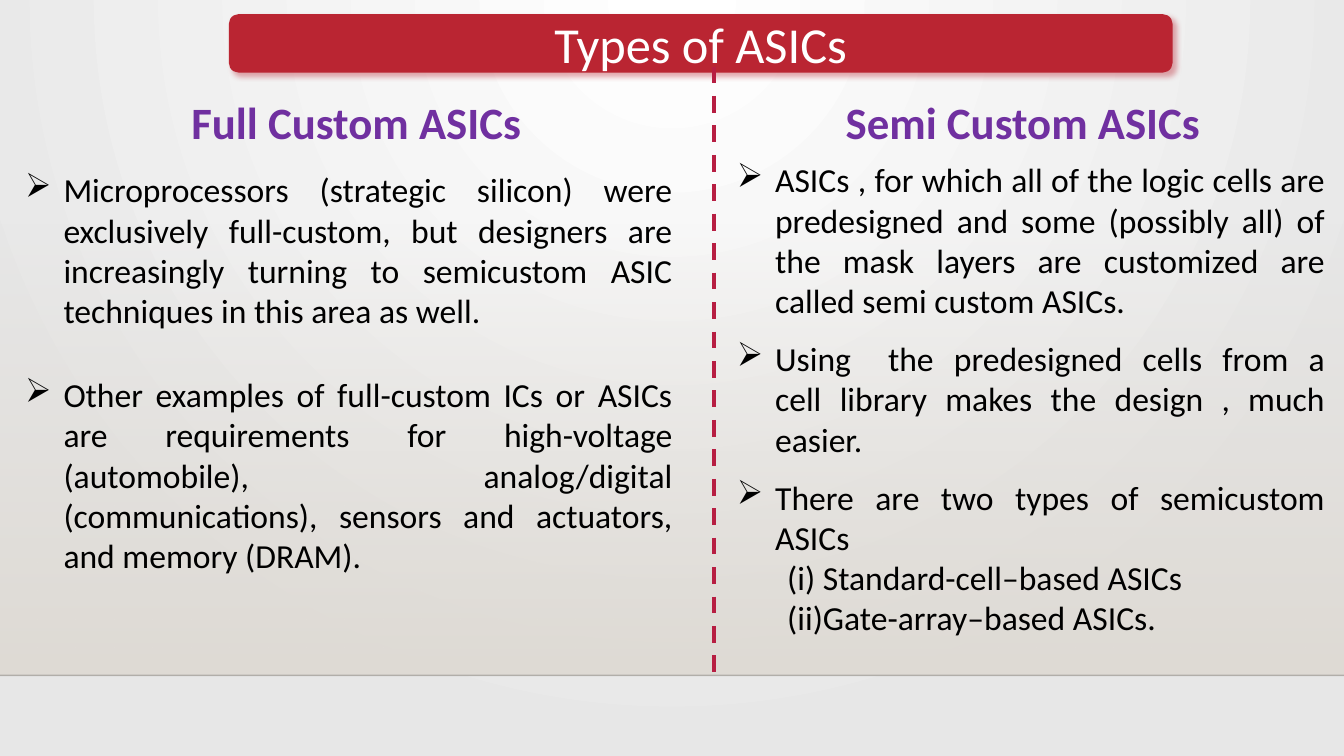
from lxml import etree
from pptx import Presentation
from pptx.dml.color import RGBColor
from pptx.enum.dml import MSO_LINE
from pptx.enum.shapes import MSO_CONNECTOR, MSO_SHAPE
from pptx.enum.text import MSO_ANCHOR, MSO_AUTO_SIZE, PP_ALIGN
from pptx.oxml.ns import qn
from pptx.util import Inches, Pt

RECTANGLE = MSO_SHAPE.RECTANGLE
ROUNDED = MSO_SHAPE.ROUNDED_RECTANGLE
STRAIGHT = MSO_CONNECTOR.STRAIGHT
DASH = MSO_LINE.DASH
MIDDLE = MSO_ANCHOR.MIDDLE
FIT_SHAPE = MSO_AUTO_SIZE.SHAPE_TO_FIT_TEXT
CENTER, JUSTIFY = PP_ALIGN.CENTER, PP_ALIGN.JUSTIFY

FONT = "Calibri"
COLORS = {
    "white": "FFFFFF", "edge": "E7E7E7", "floor": "DFDBD5", "floor_line": "000001",
    "banner": "BA2532", "divider": "B71E42", "heading": "7030A0", "body": "000000",
}

FULL_CUSTOM = [
    "Microprocessors (strategic silicon) were exclusively full-custom, but designers are "
    "increasingly turning to semicustom ASIC techniques in this area as well.",
    "Other examples of full-custom ICs or ASICs are requirements for high-voltage "
    "(automobile), analog/digital (communications), sensors and actuators, and memory (DRAM).",
]
SEMI_CUSTOM = [
    "ASICs , for which all of the logic cells are predesigned and some (possibly all) of "
    "the mask layers are customized are called semi custom ASICs.",
    "Using\tthe predesigned cells from a cell library makes the design , much easier.",
    "There are two types of semicustom ASICs",
]
SEMI_CUSTOM_TYPES = ["(i) Standard-cell–based ASICs", "(ii)Gate-array–based ASICs."]


def color(name):
    return RGBColor.from_string(COLORS[name])


def add_child(parent, tag, **attributes):
    values = {key: str(value) for key, value in attributes.items()}
    return etree.SubElement(parent, qn(tag), values)


def add_color(parent, name, opacity=100):
    node = add_child(parent, "a:srgbClr", val=COLORS[name])
    if opacity < 100:
        add_child(node, "a:alpha", val=opacity * 1000)


def start_gradient(element, stops):
    """Replace the stops of the element's gradient; the caller adds its direction."""
    gradient = element.find(".//" + qn("a:gradFill"))
    gradient.clear()
    gradient.set("rotWithShape", "1")
    stop_list = add_child(gradient, "a:gsLst")
    for position, name, opacity in stops:
        add_color(add_child(stop_list, "a:gs", pos=position * 1000), name, opacity)
    return gradient


def set_background(slide):
    slide.background.fill.gradient()
    gradient = start_gradient(slide.element, [(0, "white", 100), (100, "edge", 100)])
    circle = add_child(gradient, "a:path", path="circle")
    add_child(circle, "a:fillToRect", l=43000, t=0, r=43000, b=100000)


def add_plain_shape(slide, kind, left, top, width, height):
    shape = slide.shapes.add_shape(
        kind, Inches(left), Inches(top), Inches(width), Inches(height))
    shape.shadow.inherit = False
    shape.line.fill.background()
    return shape


def add_floor(slide):
    shape = add_plain_shape(slide, RECTANGLE, 0, 2.21, 13.33, 4.49)
    shape.fill.gradient()
    gradient = start_gradient(shape.element, [(0, "floor", 0), (100, "floor", 100)])
    add_child(gradient, "a:lin", ang=90 * 60000, scaled=0)


def add_line(slide, start, end, color_name, width):
    line = slide.shapes.add_connector(STRAIGHT, *map(Inches, start + end))
    line.line.color.rgb = color(color_name)
    line.line.width = Pt(width)
    add_child(line.element.spPr, "a:effectLst")
    return line


def set_font(paragraph, size, color_name, bold=False):
    paragraph.font.name = FONT
    paragraph.font.size = Pt(size)
    paragraph.font.bold = bold
    paragraph.font.color.rgb = color(color_name)


def add_banner(slide, text):
    shape = add_plain_shape(slide, ROUNDED, 2.27, 0.14, 9.36, 0.58)
    shape.fill.solid()
    shape.fill.fore_color.rgb = color("banner")
    effects = shape.element.spPr.find(qn("a:effectLst"))
    shadow = add_child(effects, "a:outerShdw", blurRad=Pt(4), dist=Pt(3),
                       dir=45 * 60000, algn="tl", rotWithShape=0)
    add_color(shadow, "banner", 40)
    shape.text_frame.vertical_anchor = MIDDLE
    paragraph = shape.text_frame.paragraphs[0]
    paragraph.text = text
    paragraph.alignment = CENTER
    set_font(paragraph, 36, "white")


def add_text_box(slide, left, top, width, height):
    box = slide.shapes.add_textbox(
        Inches(left), Inches(top), Inches(width), Inches(height))
    frame = box.text_frame
    frame.word_wrap = True
    frame.auto_size = FIT_SHAPE
    return frame


def add_heading(slide, left, text):
    paragraph = add_text_box(slide, left, 0.89, 4.07, 0.64).paragraphs[0]
    paragraph.text = text
    set_font(paragraph, 32, "heading", bold=True)


def add_body_paragraph(frame, text, margin, bullet=False, gap=0):
    paragraph = frame.paragraphs[0]
    if paragraph.text:
        paragraph = frame.add_paragraph()
        paragraph.space_before = Pt(gap)
    paragraph.text = text
    paragraph.alignment = JUSTIFY
    properties = paragraph._p.get_or_add_pPr()
    properties.set("marL", str(Inches(margin)))
    if bullet:
        properties.set("indent", str(Inches(-0.38)))
        add_child(properties, "a:buChar", char="➢")
    if "\t" in text:
        tabs = add_child(properties, "a:tabLst")
        add_child(tabs, "a:tab", pos=Inches(1.5), algn="l")
    set_font(paragraph, 24, "body")


def add_bullets(frame, texts, margin, gap):
    for text in texts:
        add_body_paragraph(frame, text, margin, bullet=True, gap=gap)


def main():
    presentation = Presentation()
    presentation.slide_width = Inches(13.33)
    presentation.slide_height = Inches(7.5)
    slide = presentation.slides.add_slide(presentation.slide_layouts[6])

    # Backdrop
    set_background(slide)
    add_floor(slide)
    floor_line = add_line(slide, (0, 6.7), (13.33, 6.7), "floor_line", 1)
    line_color = floor_line.element.spPr.find(".//" + qn("a:srgbClr"))
    add_child(line_color, "a:alpha", val=20000)

    # Title and column divider
    add_banner(slide, "Types of ASICs")
    divider = add_line(slide, (7.08, 0.66), (7.08, 6.73), "divider", 3)
    divider.line.dash_style = DASH

    # Left column
    add_heading(slide, 1.8, "Full Custom ASICs")
    left_frame = add_text_box(slide, 0.24, 1.66, 6.43, 4.08)
    left_frame.margin_left = left_frame.margin_right = left_frame.margin_bottom = 0
    left_frame.margin_top = Inches(0.02)
    add_bullets(left_frame, FULL_CUSTOM, margin=0.39, gap=31)

    # Right column
    add_heading(slide, 8.29, "Semi Custom ASICs")
    right_frame = add_text_box(slide, 7.21, 1.53, 6.03, 4.88)
    add_bullets(right_frame, SEMI_CUSTOM, margin=0.38, gap=12.5)
    for text in SEMI_CUSTOM_TYPES:
        add_body_paragraph(right_frame, text, margin=0.5)

    presentation.save("out.pptx")


if __name__ == "__main__":
    main()
